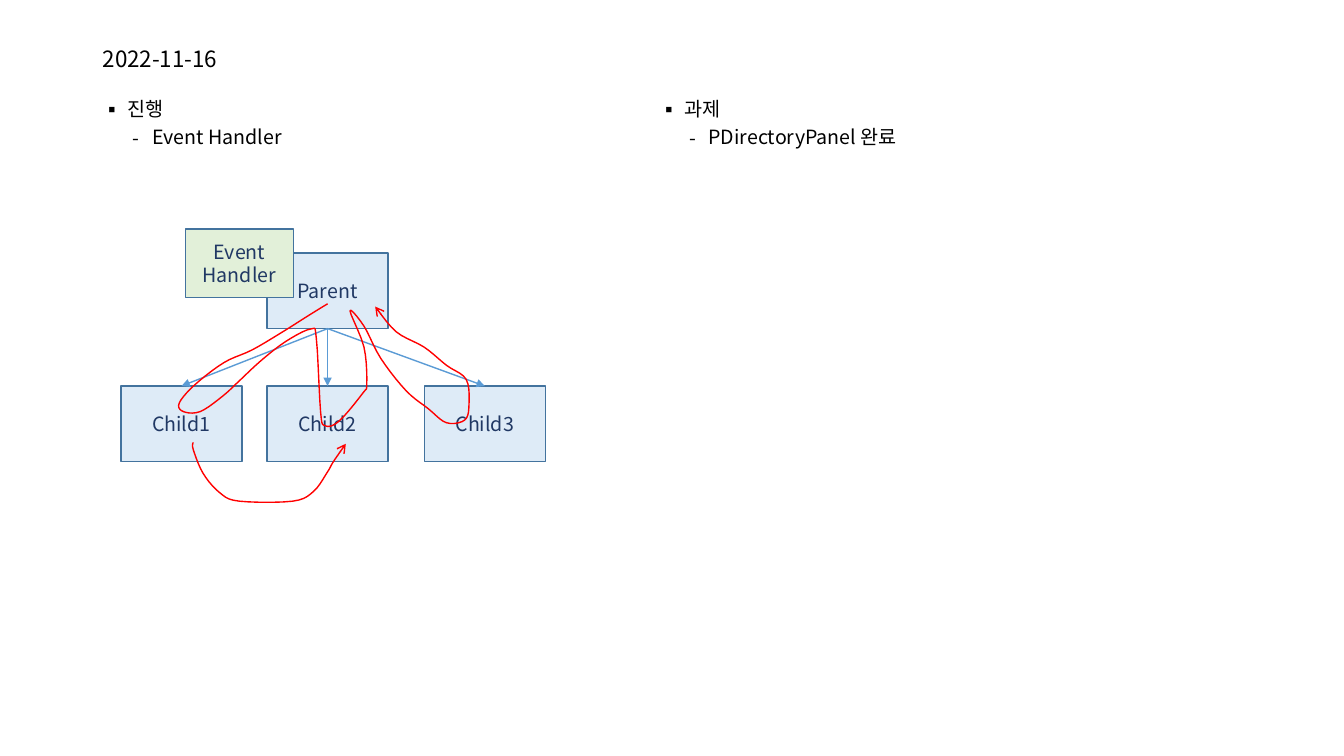
from dataclasses import dataclass

from lxml.etree import SubElement
from pptx import Presentation
from pptx.dml.color import RGBColor
from pptx.enum.shapes import MSO_CONNECTOR, MSO_SHAPE
from pptx.enum.text import MSO_ANCHOR, PP_ALIGN
from pptx.oxml.ns import qn
from pptx.util import Pt

DATE = "2022-11-16"
# left, width, heading, item
COLUMNS = [
    (66.24, 385.92, "진행", "Event Handler"),
    (463.68, 437.76, "과제", "PDirectoryPanel 완료"),
]
PARENT = ("Parent", 190.8)
CHILDREN = [("Child1", 86.4), ("Child2", 190.8), ("Child3", 303.12)]
HANDLER = "Event Handler"

# Pen strokes in points; a smooth curve runs through them
EVENT_ROUTE = [
    (234, 217), (221, 225), (202, 237), (180, 250), (160, 259), (139, 275),
    (128, 288), (131, 294), (143, 294), (159, 283), (171, 272), (186, 258),
    (204, 244), (222, 235), (226, 242), (229, 294), (232, 304), (242, 301),
    (259, 281), (262, 274), (260, 248), (250, 222), (260, 233), (272, 256),
    (290, 279), (306, 292), (319, 302), (332, 300), (335, 289), (333, 271),
    (319, 261), (303, 248), (283, 237), (268, 219),
]
CHILD_ROUTE = [
    (138, 316), (138, 321), (145, 338), (157, 352), (171, 358), (209, 358),
    (224, 351), (234, 337), (238, 330), (247, 317),
]
STEPS_PER_SPAN = 5


@dataclass(frozen=True)
class Theme:
    font: str = "Noto Sans CJK KR"
    title_size: float = 16
    body_size: float = 14
    line_width: float = 1
    text: str = "000000"
    box_text: str = "203864"
    box: str = "DEEBF7"
    handler: str = "E2F0D9"
    border: str = "43739E"
    link: str = "5B9BD5"
    pen: str = "FF0000"


THEME = Theme()
BOX_WIDTH, BOX_HEIGHT = 86.4, 54
PARENT_TOP, CHILD_TOP = 180.72, 275.76
BODY_TOP, BODY_HEIGHT = 67.68, 418.32


def add_run(paragraph, text, size, color):
    run = paragraph.add_run()
    run.text = text
    run.font.name = THEME.font
    run.font.size = Pt(size)
    run.font.color.rgb = RGBColor.from_string(color)
    SubElement(run.font._element, qn("a:ea"), typeface=THEME.font)


def add_text_frame(slide, left, top, width, height):
    frame = slide.shapes.add_textbox(Pt(left), Pt(top), Pt(width), Pt(height)).text_frame
    frame.word_wrap = True
    return frame


def add_bullet(paragraph, text, mark, level, margin, indent, before):
    paragraph.level = level
    paragraph.line_spacing = 0.9
    paragraph.space_before = Pt(before)
    properties = paragraph._p.get_or_add_pPr()
    properties.set("marL", str(Pt(margin)))
    properties.set("indent", str(Pt(indent)))
    SubElement(properties, qn("a:buFont"), typeface=THEME.font)
    SubElement(properties, qn("a:buChar"), char=mark)
    add_run(paragraph, text, THEME.body_size, THEME.text)


def style_line(part, color, head=None):
    part.line.color.rgb = RGBColor.from_string(color)
    part.line.width = Pt(THEME.line_width)
    if head:
        SubElement(part._element.spPr.find(qn("a:ln")), qn("a:tailEnd"), type=head)


def add_box(slide, label, left, top, width=BOX_WIDTH, height=BOX_HEIGHT, fill=THEME.box):
    box = slide.shapes.add_shape(
        MSO_SHAPE.RECTANGLE, Pt(left), Pt(top), Pt(width), Pt(height))
    box.shadow.inherit = False
    box.fill.solid()
    box.fill.fore_color.rgb = RGBColor.from_string(fill)
    style_line(box, THEME.border)
    box.text_frame.word_wrap = True
    box.text_frame.vertical_anchor = MSO_ANCHOR.MIDDLE
    paragraph = box.text_frame.paragraphs[0]
    paragraph.alignment = PP_ALIGN.CENTER
    add_run(paragraph, label, THEME.body_size, THEME.box_text)


def add_link(slide, start_x, start_y, end_x, end_y):
    link = slide.shapes.add_connector(
        MSO_CONNECTOR.STRAIGHT, Pt(start_x), Pt(start_y), Pt(end_x), Pt(end_y))
    style_line(link, THEME.link, "triangle")
    SubElement(link._element.spPr, qn("a:effectLst"))


def smooth(route):
    """Return the points of a Catmull-Rom curve through the route."""
    padded = [route[0], *route, route[-1]]
    curve = [route[0]]
    for before, start, end, after in zip(padded, padded[1:], padded[2:], padded[3:]):
        for step in range(1, STEPS_PER_SPAN + 1):
            t = step / STEPS_PER_SPAN
            curve.append(tuple(
                b + t * (c - a + t * (2 * a - 5 * b + 4 * c - d
                                      + t * (3 * b - a - 3 * c + d))) / 2
                for a, b, c, d in zip(before, start, end, after)))
    return curve


def add_stroke(slide, route):
    first, *rest = [(Pt(x), Pt(y)) for x, y in smooth(route)]
    builder = slide.shapes.build_freeform(*first)
    builder.add_line_segments(rest, close=False)
    stroke = builder.convert_to_shape()
    stroke.shadow.inherit = False
    stroke.fill.background()
    style_line(stroke, THEME.pen, "arrow")


def main():
    deck = Presentation()
    deck.slide_width, deck.slide_height = Pt(960), Pt(540)
    slide = deck.slides.add_slide(deck.slide_layouts[6])

    title = add_text_frame(slide, 66.24, 28.8, 828, 28.08)
    title.vertical_anchor = MSO_ANCHOR.MIDDLE
    title.paragraphs[0].line_spacing = 0.9
    add_run(title.paragraphs[0], DATE, THEME.title_size, THEME.text)

    for left, width, heading, item in COLUMNS:
        column = add_text_frame(slide, left, BODY_TOP, width, BODY_HEIGHT)
        add_bullet(column.paragraphs[0], heading, "▪", 0, 18, -18, 10)
        add_bullet(column.add_paragraph(), item, "-", 1, 35.28, -13.68, 5)

    parent_label, parent_left = PARENT
    add_box(slide, parent_label, parent_left, PARENT_TOP)
    for label, left in CHILDREN:
        add_box(slide, label, left, CHILD_TOP)
    for _, left in CHILDREN:
        add_link(slide, parent_left + BOX_WIDTH / 2, PARENT_TOP + BOX_HEIGHT,
                 left + BOX_WIDTH / 2, CHILD_TOP)

    for route in (EVENT_ROUTE, CHILD_ROUTE):
        add_stroke(slide, route)
    add_box(slide, HANDLER, 132.48, 163.44, 77.04, 48.96, THEME.handler)

    deck.save("out.pptx")


if __name__ == "__main__":
    main()
